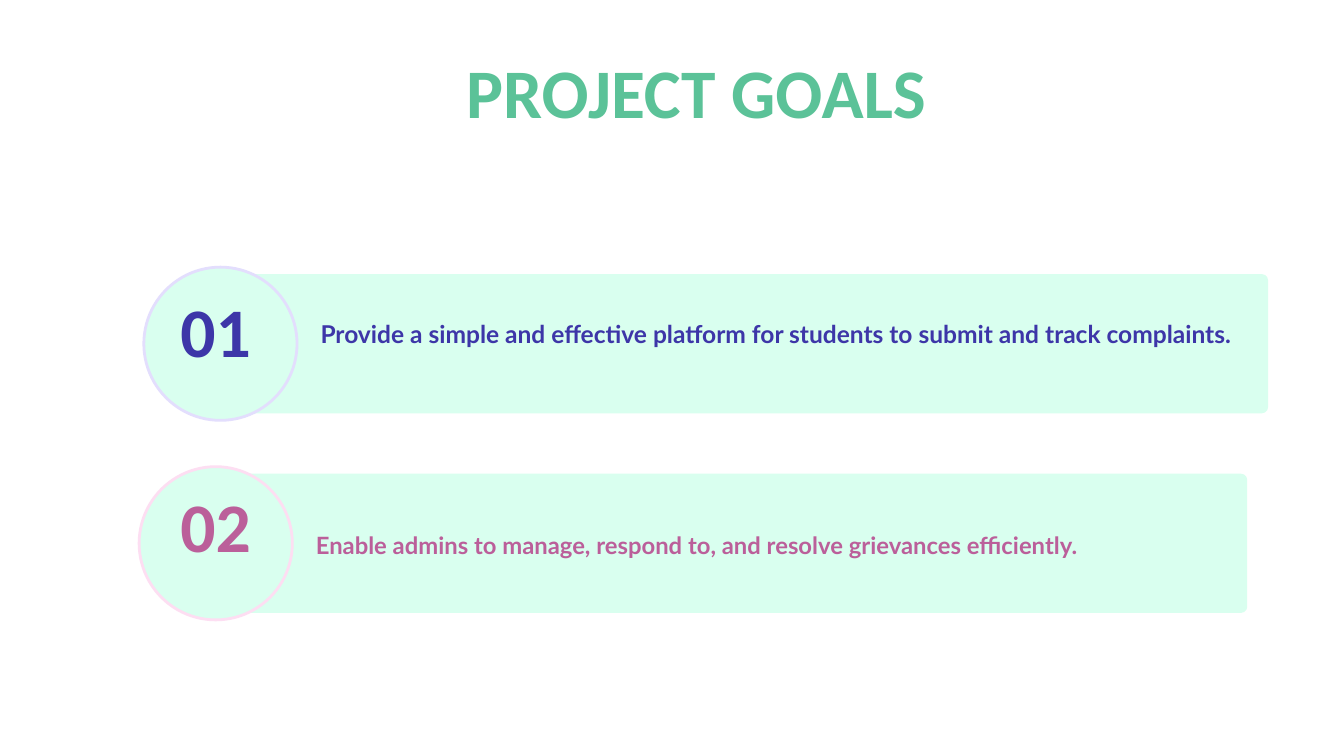
from dataclasses import dataclass

from pptx import Presentation
from pptx.dml.color import RGBColor
from pptx.enum.shapes import MSO_SHAPE
from pptx.enum.text import PP_ALIGN
from pptx.util import Inches, Pt

ROUNDED, OVAL = MSO_SHAPE.ROUNDED_RECTANGLE, MSO_SHAPE.OVAL
LEFT, CENTER = PP_ALIGN.LEFT, PP_ALIGN.CENTER


@dataclass(frozen=True)
class Theme:
    title: str = "5BC298"
    panel: str = "D9FFEF"
    indigo: str = "3D36A8"
    lilac: str = "E3DEFD"
    plum: str = "BB5F9A"
    pink: str = "FDDEF2"
    heading_font: str = "Calibri"
    body_font: str = "Lato"
    heading_size: float = 74.5
    first_size: float = 26.3
    second_size: float = 25.5
    body_spacing: float = 1.4


theme = Theme()


def add_panel(kind, left, top, width, height, outline=None):
    shape = page.shapes.add_shape(kind, Inches(left), Inches(top), Inches(width), Inches(height))
    shape.shadow.inherit = False
    shape.fill.solid()
    shape.fill.fore_color.rgb = RGBColor.from_string(theme.panel)
    if outline:
        shape.line.color.rgb = RGBColor.from_string(outline)
        shape.line.width = Pt(3)
    else:
        shape.line.fill.background()
    return shape


def add_text(text, left, top, width, height, font, size, color, align, spacing):
    box = page.shapes.add_textbox(Inches(left), Inches(top), Inches(width), Inches(height))
    frame = box.text_frame
    frame.word_wrap = True
    frame.margin_left = frame.margin_top = frame.margin_right = frame.margin_bottom = 0
    para = frame.paragraphs[0]
    para.alignment = align
    para.line_spacing = Pt(round(spacing, 1))
    span = para.add_run()
    span.text = text
    span.font.name = font
    span.font.size = Pt(size)
    span.font.bold = True
    span.font.color.rgb = RGBColor.from_string(color)


deck = Presentation()
deck.slide_width, deck.slide_height = Inches(20), Inches(11.25)
page = deck.slides.add_slide(deck.slide_layouts[6])

heading = (theme.heading_font, theme.heading_size)
add_text("PROJECT GOALS", 4.89, 0.93, 10.94, 2.35, *heading, theme.title, CENTER, theme.heading_size)

goals = [
    ("01", "Provide a simple and effective platform for students to submit and track complaints.",
     theme.indigo, theme.lilac, theme.first_size, 3.28, 4.08, 15.59, 4.49, 4.77, 4.68),
    ("02", "Enable admins to manage, respond to, and resolve grievances efficiently.",
     theme.plum, theme.pink, theme.second_size, 3.21, 7.05, 15.35, 7.4, 4.7, 7.82),
]
bar_height, circle_size, corner = 2.07, 2.28, 0.09

for number, goal, color, outline, size, left, top, width, number_top, goal_left, goal_top in goals:
    bar = add_panel(ROUNDED, left, top, width, bar_height)
    bar.adjustments[0] = corner / bar_height
    circle_top = top + (bar_height - circle_size) / 2
    add_panel(OVAL, left - circle_size / 2, circle_top, circle_size, circle_size, outline)
    add_text(number, 1.76, number_top, 2.9, 1.33, *heading, color, CENTER, theme.heading_size)
    add_text(goal, goal_left, goal_top, 13.8, 0.5, theme.body_font, size, color, LEFT,
             size * theme.body_spacing)

deck.save("out.pptx")
